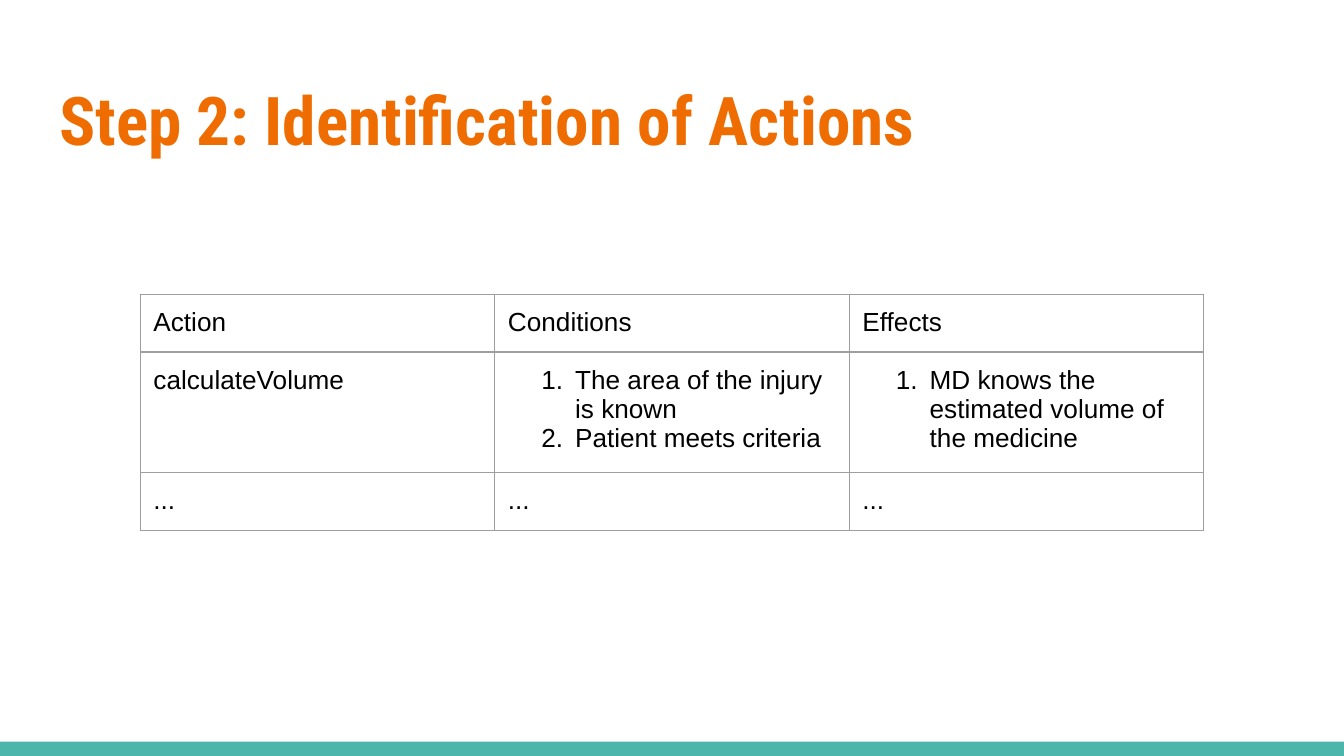
import pptx
import pptx.util
import pptx.dml.color
import pptx.enum.shapes
import pptx.enum.text
import pptx.oxml
import pptx.oxml.ns
from lxml import etree

Cm, Pt = pptx.util.Cm, pptx.util.Pt
RGBColor = pptx.dml.color.RGBColor
ORANGE = RGBColor(0xEF, 0x6C, 0x00)
TEAL = RGBColor(0x4D, 0xB6, 0xAC)
GREY = RGBColor(0x9E, 0x9E, 0x9E)
BLACK = RGBColor(0, 0, 0)
INSET = Cm(0.25)
MARGINS = {"margin_left": INSET, "margin_right": INSET,
           "margin_top": INSET, "margin_bottom": INSET}
TITLE_FONT = {"name": "Roboto Condensed", "size": Pt(36), "bold": True}
TABLE_FONT = {"name": "Arial", "size": Pt(14), "bold": False}


def set_all(target, values):
    for name, value in values.items():
        setattr(target, name, value)


def write(para, text, font, color):
    span = para.add_run()
    span.text = text
    set_all(span.font, font)
    span.font.color.rgb = color


# Slide
deck = pptx.Presentation()
deck.slide_width, deck.slide_height = Cm(25.4), Cm(14.29)
page = deck.slides.add_slide(deck.slide_layouts[6])

# Bottom band
band_height = Cm(0.27)
band = page.shapes.add_shape(pptx.enum.shapes.MSO_SHAPE.RECTANGLE, 0,
                             deck.slide_height - band_height,
                             deck.slide_width, band_height)
band.shadow.inherit = False
band.fill.solid()
band.fill.fore_color.rgb = TEAL
band.line.fill.background()

# Title
title = page.shapes.add_textbox(Cm(0.87), Cm(1.24), Cm(23.67), Cm(1.95))
set_all(title.text_frame, {**MARGINS, "word_wrap": True,
                           "vertical_anchor": pptx.enum.text.MSO_ANCHOR.TOP})
write(title.text_frame.paragraphs[0], "Step 2: Identification of Actions",
      TITLE_FONT, ORANGE)

# Action table: a list in a cell is numbered
rows = [
    ["Action", "Conditions", "Effects"],
    ["calculateVolume",
     ["The area of the injury is known", "Patient meets criteria"],
     ["MD knows the estimated volume of the medicine"]],
    ["...", "...", "..."],
]
row_heights = [Cm(1.07), Cm(2.16), Cm(1.07)]
column_width = Cm(6.7)
frame = page.shapes.add_table(len(rows), len(rows[0]), Cm(2.65), Cm(5.56),
                              column_width * len(rows[0]), sum(row_heights))
table = frame.table
set_all(table, {"first_row": False, "horz_banding": False})
for column in table.columns:
    column.width = column_width

for row, height, contents in zip(table.rows, row_heights, rows):
    row.height = height
    for cell, content in zip(row.cells, contents):
        set_all(cell, MARGINS)
        # Borders come before the fill in the cell properties
        properties = cell._tc.get_or_add_tcPr()
        for side in ("lnL", "lnR", "lnT", "lnB"):
            properties.append(pptx.oxml.parse_xml(
                f'<a:{side} {pptx.oxml.ns.nsdecls("a")} w="{Pt(0.75)}">'
                f'<a:solidFill><a:srgbClr val="{GREY}"/></a:solidFill>'
                f'</a:{side}>'))
        cell.fill.background()

        numbered = isinstance(content, list)
        for index, text in enumerate(content if numbered else [content]):
            text_frame = cell.text_frame
            para = text_frame.add_paragraph() if index else text_frame.paragraphs[0]
            write(para, text, TABLE_FONT, BLACK)
            if numbered:
                style = para._p.get_or_add_pPr()
                style.set("marL", str(Cm(1.27)))
                style.set("indent", str(-Cm(0.64)))
                etree.SubElement(style, pptx.oxml.ns.qn("a:buAutoNum"),
                                 type="arabicPeriod")

deck.save("out.pptx")
